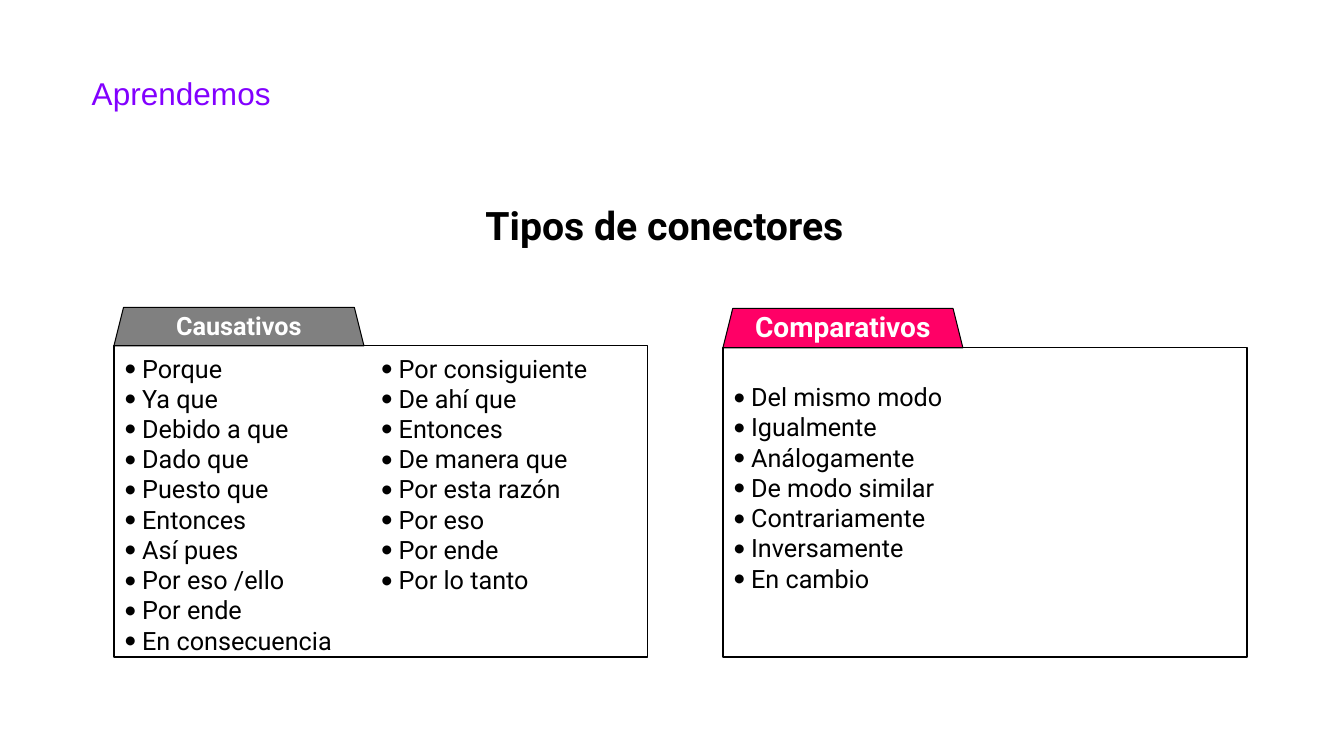
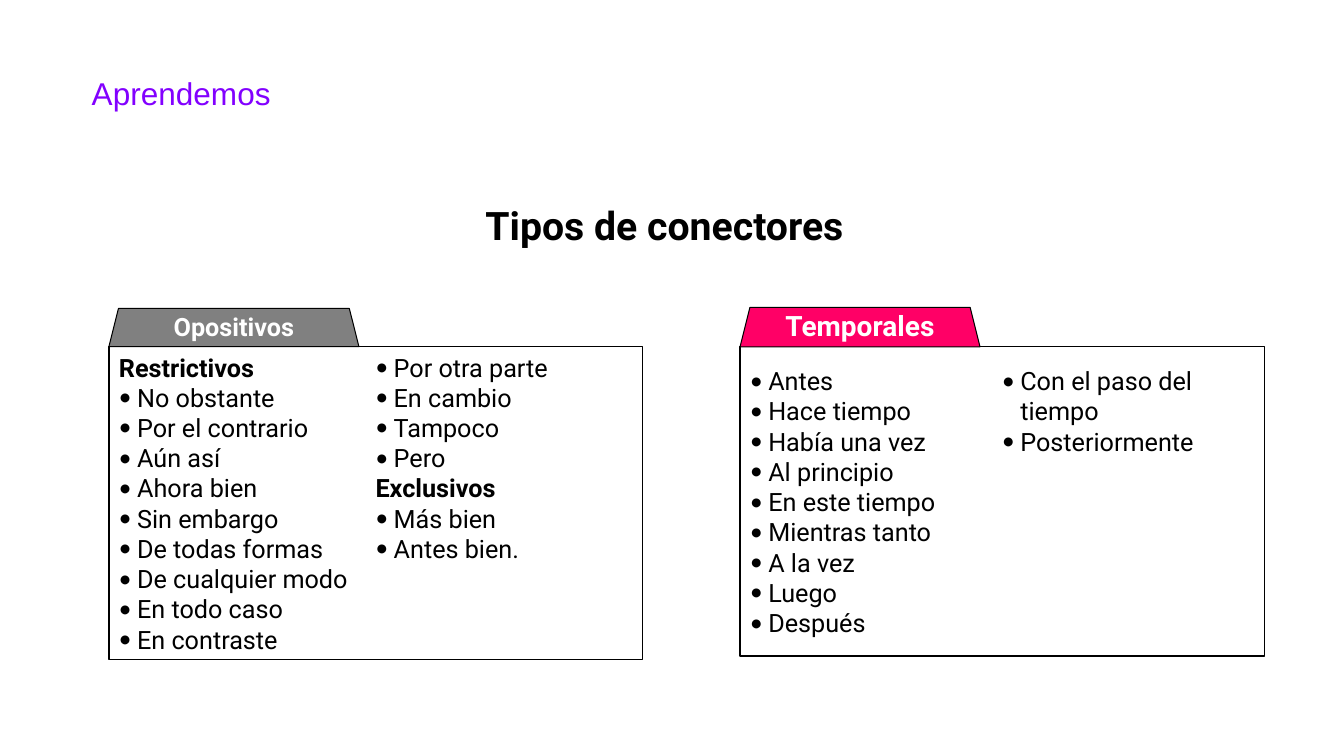
from dataclasses import dataclass

from lxml.etree import SubElement
from pptx import Presentation
from pptx.dml.color import RGBColor
from pptx.enum.shapes import MSO_SHAPE as Shape
from pptx.enum.text import MSO_ANCHOR as Anchor, MSO_AUTO_SIZE as AutoSize, PP_ALIGN as Align
from pptx.oxml.ns import qn
from pptx.util import Inches, Pt

PURPLE, GRAY, PINK = "8200FF", "808080", "FF0066"
BLACK, WHITE = "000000", "FFFFFF"
FONT = "Roboto"
TWO_CONTENT = 3
BULLET_INDENT = 0.18


@dataclass(frozen=True)
class PanelStyle:
    color: str
    tab_width: float
    tab_height: float
    tab_size: float
    width: float


@dataclass(frozen=True)
class Panel:
    style: PanelStyle
    name: str
    left: float
    top: float
    height: float
    items: tuple[str, ...]
    headings: tuple[str, ...] = ()
    inset_top: float = 0.05
    inset_bottom: float = 0.05


LEFT = PanelStyle(GRAY, 2.48, 0.38, 18, 5.29)
RIGHT = PanelStyle(PINK, 2.38, 0.39, 20, 5.2)

SLIDES = (
    (
        Panel(LEFT, "Causativos", 1.13, 3.43, 3.09, (
            "Porque", "Ya que", "Debido a que", "Dado que", "Puesto que",
            "Entonces", "Así pues", "Por eso /ello", "Por ende",
            "En consecuencia", "Por consiguiente", "De ahí que", "Entonces",
            "De manera que", "Por esta razón", "Por eso", "Por ende",
            "Por lo tanto",
        ), inset_bottom=0),
        Panel(RIGHT, "Comparativos", 7.17, 3.45, 3.07, (
            "Del mismo modo", "Igualmente", "Análogamente", "De modo similar",
            "Contrariamente", "Inversamente", "En cambio",
        ), inset_bottom=0.35),
    ),
    (
        Panel(LEFT, "Opositivos", 1.08, 3.44, 3.1, (
            "Restrictivos", "No obstante", "Por el contrario", "Aún así",
            "Ahora bien", "Sin embargo", "De todas formas",
            "De cualquier modo", "En todo caso", "En contraste",
            "Por otra parte", "En cambio", "Tampoco", "Pero", "Exclusivos",
            "Más bien", "Antes bien.",
        ), headings=("Restrictivos", "Exclusivos")),
        Panel(RIGHT, "Temporales", 7.34, 3.44, 3.07, (
            "Antes", "Hace tiempo", "Había una vez", "Al principio",
            "En este tiempo", "Mientras tanto", "A la vez", "Luego",
            "Después", "Con el paso del tiempo", "Posteriormente",
        )),
    ),
)


def rgb(color: str) -> RGBColor:
    return RGBColor.from_string(color)


def write(p, text: str, *, size: float = 18, color: str = BLACK, font: str = FONT,
          bold: bool = False, align=Align.LEFT, spacing: float = 1.0) -> None:
    p.alignment = align
    p.line_spacing = spacing
    p.space_before = p.space_after = Pt(0)
    r = p.add_run()
    r.text = text
    r.font.name, r.font.size, r.font.bold = font, Pt(size), bold
    r.font.color.rgb = rgb(color)


def place(s, left: float, top: float, width: float, height: float) -> None:
    s.left, s.top, s.width, s.height = map(Inches, (left, top, width, height))


def paint(s, fill: str, line_width: float) -> None:
    s.fill.solid()
    s.fill.fore_color.rgb = rgb(fill)
    s.line.color.rgb = rgb(BLACK)
    s.line.width = Pt(line_width)


def frame(s, anchor):
    tf = s.text_frame
    tf.word_wrap = True
    tf.auto_size = AutoSize.NONE
    tf.vertical_anchor = anchor
    return tf


def set_bullet(p, shown: bool) -> None:
    indent = Inches(BULLET_INDENT) if shown else 0
    props = p._p.get_or_add_pPr()
    props.set("marL", str(indent))
    props.set("indent", str(-indent))
    if shown:
        SubElement(props, qn("a:buFont"), typeface="Calibri")
        SubElement(props, qn("a:buChar"), char="•")
    else:
        SubElement(props, qn("a:buNone"))


def add_tab(slide, panel: Panel) -> None:
    style = panel.style
    s = slide.shapes.add_shape(
        Shape.TRAPEZOID, Inches(panel.left), Inches(panel.top - style.tab_height),
        Inches(style.tab_width), Inches(style.tab_height))
    s.shadow.inherit = False
    paint(s, style.color, 0.75)
    tf = frame(s, Anchor.MIDDLE)
    tf.margin_left = tf.margin_right = Inches(0.14)
    tf.margin_top = tf.margin_bottom = Inches(0.08)
    write(tf.paragraphs[0], panel.name, size=style.tab_size, color=WHITE,
          bold=True, align=Align.CENTER, spacing=0.9)


def fill_list(s, panel: Panel) -> None:
    """Turn a body placeholder into the outlined two-column list."""
    place(s, panel.left, panel.top, panel.style.width, panel.height)
    paint(s, WHITE, 1)
    tf = frame(s, Anchor.MIDDLE)
    tf.margin_top, tf.margin_bottom = Inches(panel.inset_top), Inches(panel.inset_bottom)
    s.element.txBody.bodyPr.set("numCol", "2")
    for i, item in enumerate(panel.items):
        p = tf.add_paragraph() if i else tf.paragraphs[0]
        heading = item in panel.headings
        set_bullet(p, not heading)
        write(p, item, bold=heading)


def add_slide(prs, panels: tuple[Panel, ...]) -> None:
    slide = prs.slides.add_slide(prs.slide_layouts[TWO_CONTENT - 0])
    title, *bodies = slide.placeholders
    place(title, 0.81, 0.73, 11.73, 0.42)
    write(frame(title, Anchor.TOP).paragraphs[0], "Aprendemos",
          size=22.5, color=PURPLE, font="Arial", spacing=0.9)
    heading = slide.shapes.add_textbox(
        Inches(0.81), Inches(1.73), Inches(11.56), Inches(1.06))
    write(frame(heading, Anchor.MIDDLE).paragraphs[0], "Tipos de conectores",
          size=28, bold=True, align=Align.CENTER, spacing=0.9)
    for body, panel in zip(bodies, panels):
        fill_list(body, panel)
        add_tab(slide, panel)


def main() -> None:
    prs = Presentation()
    prs.slide_width, prs.slide_height = Inches(13.33), Inches(7.5)
    for panels in SLIDES:
        add_slide(prs, panels)
    prs.save("out.pptx")


if __name__ == "__main__":
    main()
